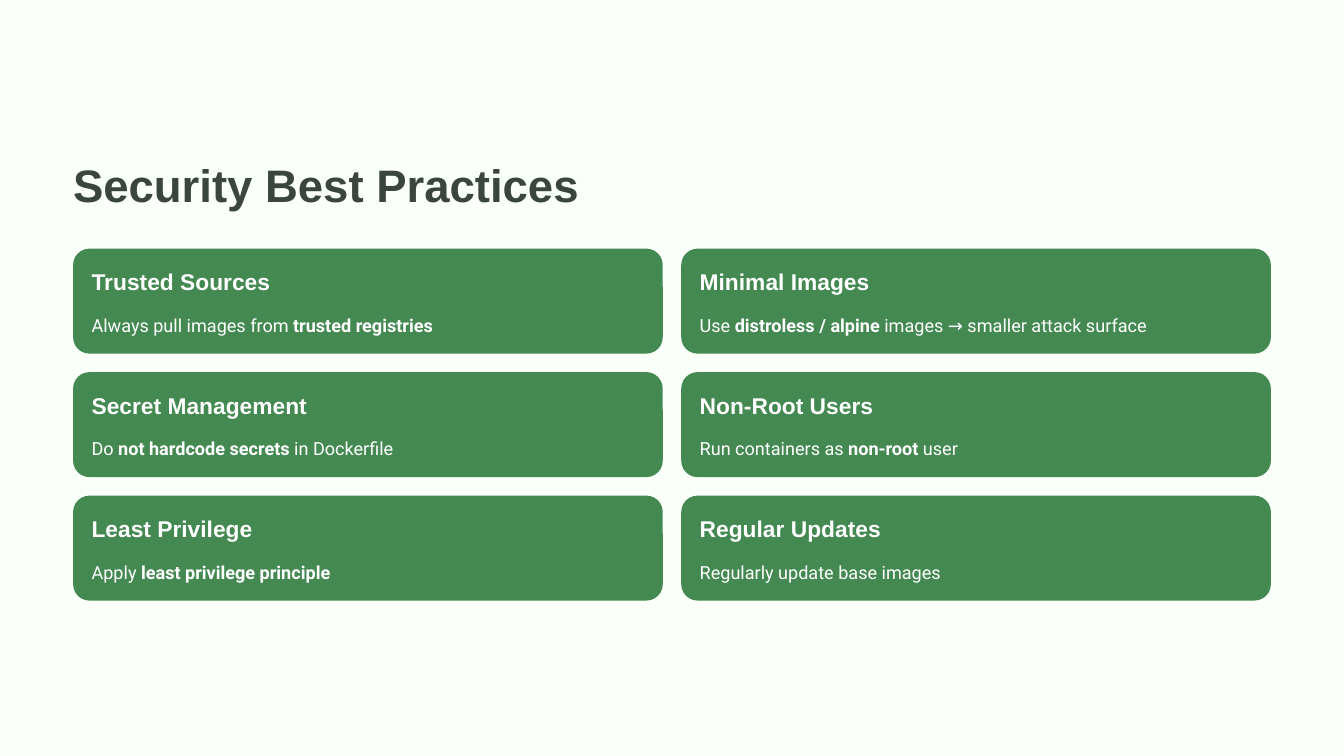
from pptx import Presentation
from pptx import util as u
from pptx.dml.color import RGBColor
from pptx.enum import shapes, text

COLORS = {"background": "FAFFFA", "title": "3B4540", "card": "438951", "card_text": "FFFFFF"}
FORMATS = {
    "title": {"name": "Arial", "size": u.Pt(39), "bold": True},
    "heading": {"name": "Arial", "size": u.Pt(19.5), "bold": True},
    "body": {"name": "Roboto", "size": u.Pt(15.5), "bold": False},
}
LINE_SPACING = {"title": 48.5, "heading": 24, "body": 25}

LEFT, TOP = 0.87, 2.96
CARD_WIDTH, CARD_HEIGHT = 7.02, 1.25
GAP = 0.22
COLUMNS = 2

CARDS = [
    ("Trusted Sources", [("Always pull images from ", False), ("trusted registries", True)]),
    ("Minimal Images", [("Use ", False), ("distroless / alpine", True),
                        (" images → smaller attack surface", False)]),
    ("Secret Management", [("Do ", False), ("not hardcode secrets", True), (" in Dockerfile", False)]),
    ("Non-Root Users", [("Run containers as ", False), ("non-root", True), (" user", False)]),
    ("Least Privilege", [("Apply ", False), ("least privilege principle", True)]),
    ("Regular Updates", [("Regularly update base images", False)]),
]


class SlideBuilder:
    def __init__(self, slide):
        self.slide = slide

    def color(self, name):
        return RGBColor.from_string(COLORS[name])

    def background(self):
        fill = self.slide.background.fill
        fill.solid()
        fill.fore_color.rgb = self.color("background")

    def text(self, left, top, width, height, runs, style, color):
        box = self.slide.shapes.add_textbox(*map(u.Inches, (left, top, width, height)))
        frame = box.text_frame
        settings = {"word_wrap": True, "vertical_anchor": text.MSO_ANCHOR.TOP,
                    "margin_left": 0, "margin_top": 0, "margin_right": 0, "margin_bottom": 0}
        for name, value in settings.items():
            setattr(frame, name, value)
        paragraph = frame.paragraphs[0]
        paragraph.line_spacing = u.Pt(LINE_SPACING[style])
        for words, bold in runs:
            run = paragraph.add_run()
            run.text = words
            for name, value in {**FORMATS[style], "bold": bold}.items():
                setattr(run.font, name, value)
            run.font.color.rgb = self.color(color)

    def panel(self, left, top):
        shape = self.slide.shapes.add_shape(
            shapes.MSO_SHAPE.ROUNDED_RECTANGLE,
            *map(u.Inches, (left, top, CARD_WIDTH, CARD_HEIGHT)))
        shape.adjustments[0] = 0.156
        shape.shadow.inherit = False
        shape.fill.solid()
        shape.fill.fore_color.rgb = self.color("card")
        shape.line.fill.background()

    def card(self, left, top, heading, body):
        self.panel(left, top)
        text_left = left + GAP
        self.text(text_left, top + 0.22, 6.59, 0.34, [(heading, True)], "heading", "card_text")
        self.text(text_left, top + 0.69, 6.59, 0.35, body, "body", "card_text")


def main():
    presentation = Presentation()
    presentation.slide_width = u.Inches(16)
    presentation.slide_height = u.Inches(9)
    builder = SlideBuilder(presentation.slides.add_slide(presentation.slide_layouts[6]))
    builder.background()
    builder.text(LEFT, 1.85, 6.37, 0.68, [("Security Best Practices", True)], "title", "title")
    for index, (heading, body) in enumerate(CARDS):
        row, column = divmod(index, COLUMNS)
        builder.card(LEFT + column * (CARD_WIDTH + GAP), TOP + row * (CARD_HEIGHT + GAP), heading, body)
    presentation.save("out.pptx")


if __name__ == "__main__":
    main()
